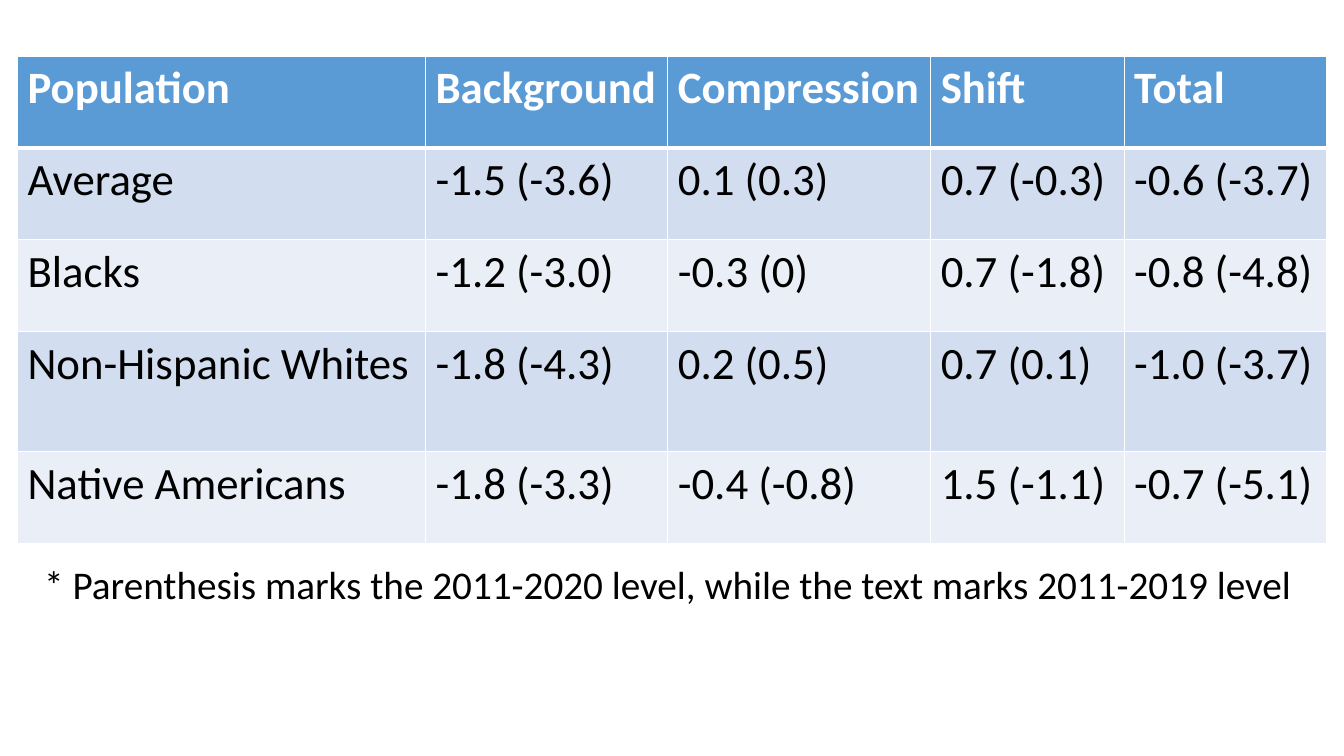
from pptx import Presentation
from pptx.dml.color import RGBColor as RGB
from pptx.enum.text import MSO_AUTO_SIZE as AutoSize
from pptx.oxml import parse_xml
from pptx.oxml.ns import nsdecls
from pptx.util import Pt

COLORS = {
    "header": "5B9BD5",
    "band_dark": "D2DEEF",
    "band_light": "EAEFF7",
    "rule": "FFFFFF",
    "header_text": "FFFFFF",
    "text": "000000",
}


class Deck:
    """Style and current slide, with one method per kind of element."""

    font = "Calibri"
    table_size = 32
    note_size = 28

    def __init__(self, width, height):
        self.prs = Presentation()
        self.prs.slide_width, self.prs.slide_height = Pt(width), Pt(height)
        self.slide = self.prs.slides.add_slide(self.prs.slide_layouts[6])

    def add_text(self, frame, text, size, color, bold=False):
        run = frame.paragraphs[0].add_run()
        run.text = text
        run.font.name, run.font.size, run.font.bold = self.font, Pt(size), bold
        run.font.color.rgb = RGB.from_string(COLORS[color])

    def border(self, cell, side, weight):
        cell._tc.get_or_add_tcPr().append(parse_xml(
            f'<a:ln{side} {nsdecls("a")} w="{Pt(weight)}"><a:solidFill>'
            f'<a:srgbClr val="{COLORS["rule"]}"/></a:solidFill></a:ln{side}>'))

    def table(self, left, top, widths, heights, rows):
        grid = self.slide.shapes.add_table(
            len(rows), len(widths), Pt(left), Pt(top),
            Pt(sum(widths)), Pt(sum(heights))).table
        for column, width in zip(grid.columns, widths):
            column.width = Pt(width)
        for r, (values, height) in enumerate(zip(rows, heights)):
            grid.rows[r].height = Pt(height)
            header = r == 0
            band = "header" if header else "band_dark" if r % 2 else "band_light"
            # The rule below the header is thicker than the others
            weights = {"L": 1, "R": 1, "T": 3 if r == 1 else 1, "B": 3 if header else 1}
            for c, value in enumerate(values):
                cell = grid.cell(r, c)
                for side, weight in weights.items():
                    self.border(cell, side, weight)
                cell.fill.solid()
                cell.fill.fore_color.rgb = RGB.from_string(COLORS[band])
                self.add_text(cell.text_frame, value, self.table_size,
                              "header_text" if header else "text", header)

    def note(self, left, top, width, height, text):
        frame = self.slide.shapes.add_textbox(
            Pt(left), Pt(top), Pt(width), Pt(height)).text_frame
        frame.word_wrap = True
        frame.auto_size = AutoSize.SHAPE_TO_FIT_TEXT
        self.add_text(frame, text, self.note_size, "text")


deck = Deck(960, 540)

# Changes by population
populations = [
    ("Population", "Background", "Compression", "Shift", "Total"),
    ("Average", "-1.5 (-3.6)", "0.1 (0.3)", "0.7 (-0.3)", "-0.6 (-3.7)"),
    ("Blacks", "-1.2 (-3.0)", "-0.3 (0)", "0.7 (-1.8)", "-0.8 (-4.8)"),
    ("Non-Hispanic Whites ", "-1.8 (-4.3)", "0.2 (0.5)", "0.7 (0.1)", "-1.0 (-3.7)"),
    ("Native Americans", "-1.8 (-3.3)", "-0.4 (-0.8)", "1.5 (-1.1)", "-0.7 (-5.1)"),
]
row_height, tall_row_height = 65.7, 85.7
deck.table(12.5, 40, [291.5, 173, 187.8, 138.2, 144.5],
           [row_height] * 3 + [tall_row_height, row_height], populations)

# Footnote
deck.note(24.5, 396.7, 910, 41,
          "* Parenthesis marks the 2011-2020 level, while the text marks 2011-2019 level")

deck.prs.save("out.pptx")
